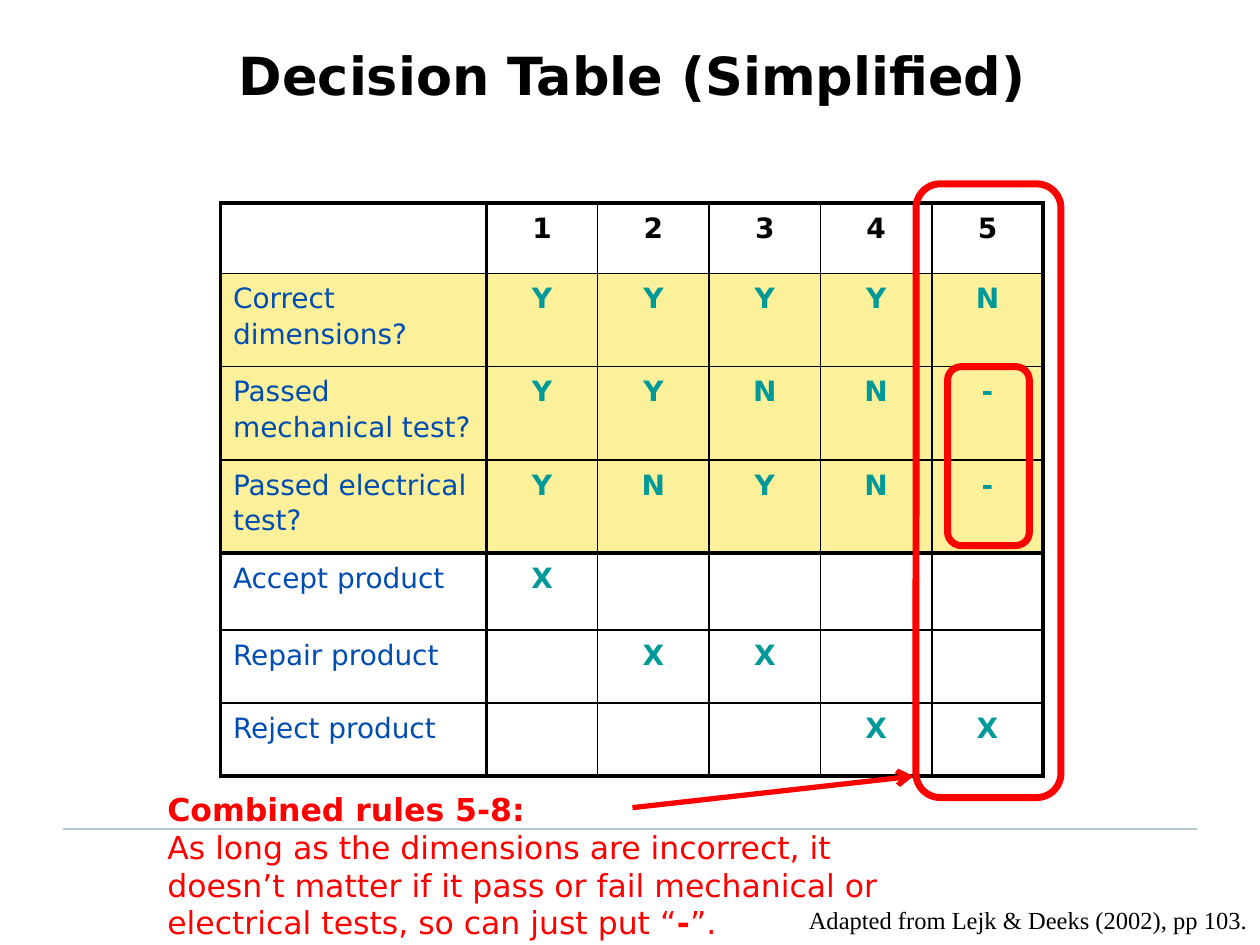
"""Build the slide on a simplified decision table."""
from dataclasses import dataclass

from lxml.etree import SubElement as Sub
from pptx import Presentation
from pptx.dml.color import RGBColor as Rgb
from pptx.enum.shapes import MSO_CONNECTOR as Link, MSO_SHAPE as Form
from pptx.enum.text import MSO_AUTO_SIZE as Auto, PP_ALIGN as Align
from pptx.oxml.ns import qn
from pptx.util import Emu, Inches, Pt

COLS, ROWS = 100, 75
UNIT = Inches(10) // COLS
SANS, SERIF = "DejaVu Sans", "Times New Roman"
HUES = {
    "ink": "000000", "rule": "B2C9D5", "label": "004DB1",
    "mark": "009999", "band": "FCF09A", "note": "FF0000",
}
THICK, THIN = 2.25, 1
BANDS = range(1, 4)
WIDE = [21.1] + [8.84] * 5
HIGH = [5.6] + [7.4] * 3 + [6.1, 5.8, 5.8]
GRID = [
    ("", "1", "2", "3", "4", "5"),
    ("Correct dimensions?", "Y", "Y", "Y", "Y", "N"),
    ("Passed mechanical test?", "Y", "Y", "N", "N", "-"),
    ("Passed electrical test?", "Y", "N", "Y", "N", "-"),
    ("Accept product", "X", "", "", "", ""),
    ("Repair product", "", "X", "X", "", ""),
    ("Reject product", "", "", "", "X", "X"),
]


@dataclass
class Area:
    x: float
    y: float
    w: float
    h: float

    def emu(self) -> list[Emu]:
        return [span(n) for n in (self.x, self.y, self.w, self.h)]


@dataclass
class Type:
    size: int
    hue: str
    face: str = SANS
    align: Align = Align.LEFT


@dataclass
class Line:
    start: tuple[float, float]
    end: tuple[float, float]
    hue: str
    width: float
    arrow: bool = False


Run = tuple[str, bool]

RINGS = [Area(72.7, 14.6, 11.5, 48.7), Area(75.2, 29.1, 6.5, 14.2)]
RULE = Line((95, 65.8), (5, 65.8), "rule", 1.25)
ARROW = Line((50.2, 64.1), (72.5, 61.6), "note", 3, True)
NOTE = [
    [("Combined rules 5-8:", True)],
    [("As long as the dimensions are incorrect, it doesn’t matter if it pass "
      "or fail mechanical or electrical tests, so can just put “", False),
     ("-", True), ("”.", False)],
]


def span(n: float) -> Emu:
    return Emu(round(n * UNIT))


def tint(key: str) -> Rgb:
    return Rgb.from_string(HUES[key])


def write(frame, paras: list[list[Run]], style: Type, lead: float = 1) -> None:
    for i, runs in enumerate(paras):
        para = frame.paragraphs[0] if i == 0 else frame.add_paragraph()
        para.alignment, para.line_spacing = style.align, lead
        for text, bold in runs:
            run = para.add_run()
            run.text = text
            font = run.font
            font.name, font.size, font.bold = style.face, Pt(style.size), bold
            font.color.rgb = tint(style.hue)


def label(slide, area: Area, paras: list[list[Run]], style: Type,
          wrap: bool = True, grow: bool = True) -> None:
    frame = slide.shapes.add_textbox(*area.emu()).text_frame
    frame.word_wrap = wrap
    frame.auto_size = Auto.SHAPE_TO_FIT_TEXT if grow else Auto.NONE
    write(frame, paras, style)


def stroke(slide, line: Line) -> None:
    ends = [span(n) for n in (*line.start, *line.end)]
    link = slide.shapes.add_connector(Link.STRAIGHT, *ends)
    link.line.color.rgb, link.line.width = tint(line.hue), Pt(line.width)
    if line.arrow:
        Sub(link.line._get_or_add_ln(), qn("a:tailEnd"), type="arrow")
    Sub(link._element.spPr, qn("a:effectLst"))


def ring(slide, area: Area) -> None:
    shape = slide.shapes.add_shape(Form.ROUNDED_RECTANGLE, *area.emu())
    shape.shadow.inherit = False
    shape.fill.background()
    shape.line.color.rgb, shape.line.width = tint("note"), Pt(4)


def edge(cell, row: int, col: int) -> None:
    heavy = {
        "L": col in (0, 1), "R": col in (0, len(WIDE) - 1),
        "T": row in (0, BANDS.stop),
        "B": row in (BANDS.stop - 1, len(HIGH) - 1),
    }
    props = cell._tc.get_or_add_tcPr()
    for side, bold in heavy.items():
        width = str(Pt(THICK if bold else THIN))
        ln = Sub(props, qn(f"a:ln{side}"), w=width)
        Sub(Sub(ln, qn("a:solidFill")), qn("a:srgbClr"), val=HUES["ink"])


def matrix(slide) -> None:
    area = Area(17.5, 16.1, sum(WIDE), sum(HIGH))
    table = slide.shapes.add_table(len(HIGH), len(WIDE), *area.emu()).table
    table.first_row = table.horz_banding = False
    for col, n in zip(table.columns, WIDE):
        col.width = span(n)
    for row, n in zip(table.rows, HIGH):
        row.height = span(n)
    for r, texts in enumerate(GRID):
        for c, text in enumerate(texts):
            cell = table.cell(r, c)
            edge(cell, r, c)
            if r in BANDS:
                cell.fill.solid()
                cell.fill.fore_color.rgb = tint("band")
            else:
                cell.fill.background()
            if text:
                hue = "ink" if r == 0 else "mark" if c else "label"
                align = Align.CENTER if c else Align.LEFT
                style = Type(16, hue, align=align)
                write(cell.text_frame, [[(text, c > 0)]], style, 1.1)


def main() -> None:
    deck = Presentation()
    deck.slide_width, deck.slide_height = span(COLS), span(ROWS)
    slide = deck.slides.add_slide(deck.slide_layouts[6])
    stroke(slide, RULE)
    label(slide, Area(17.2, 2.9, 66, 6.1),
          [[("Decision Table (Simplified)", True)]],
          Type(30, "ink", align=Align.CENTER), wrap=False)
    matrix(slide)
    label(slide, Area(12.3, 71.3, 87.7, 3.7),
          [[("Adapted from Lejk & Deeks (2002), pp 103.", False)]],
          Type(14, "ink", SERIF, Align.RIGHT), grow=False)
    ring(slide, RINGS[0])
    stroke(slide, ARROW)
    label(slide, Area(12.3, 62.2, 62.9, 13.1), NOTE, Type(18, "note"))
    ring(slide, RINGS[1])
    deck.save("out.pptx")


if __name__ == "__main__":
    main()
